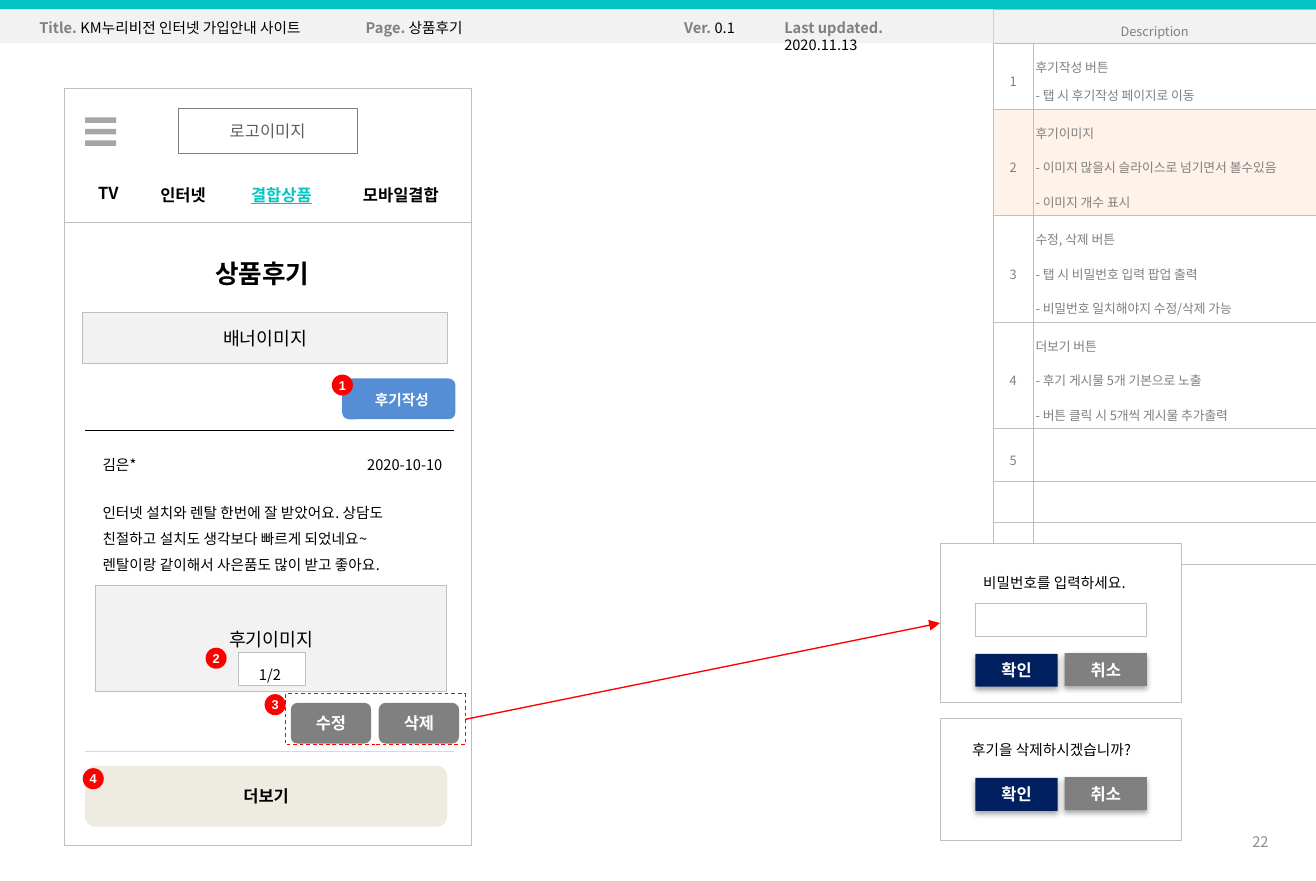
from dataclasses import dataclass

from lxml import etree
from pptx import Presentation
from pptx.dml.color import RGBColor
from pptx.enum.dml import MSO_LINE
from pptx.enum.shapes import MSO_CONNECTOR, MSO_SHAPE
from pptx.enum.text import MSO_ANCHOR, PP_ALIGN
from pptx.oxml.ns import qn
from pptx.util import Pt

RECT, ROUND, OVAL = MSO_SHAPE.RECTANGLE, MSO_SHAPE.ROUNDED_RECTANGLE, MSO_SHAPE.OVAL
STRAIGHT, DASH = MSO_CONNECTOR.STRAIGHT, MSO_LINE.DASH
LEFT, CENTER, RIGHT = PP_ALIGN.LEFT, PP_ALIGN.CENTER, PP_ALIGN.RIGHT
TOP, MIDDLE = MSO_ANCHOR.TOP, MSO_ANCHOR.MIDDLE
LEFT_SIDE, RIGHT_SIDE = 1, 3


@dataclass(frozen=True)
class Theme:
    font: str = "Noto Sans CJK KR"
    logo_font: str = "Karla"
    badge_font: str = "Arial"
    black: str = "000000"
    white: str = "FFFFFF"
    gray: str = "808080"
    logo_gray: str = "5F5F5F"
    page_gray: str = "8C8C8C"
    icon: str = "A6A6A6"
    border: str = "BFBFBF"
    divider: str = "D9D9D9"
    panel: str = "F2F2F2"
    highlight: str = "FFF2E9"
    teal: str = "05C4C4"
    blue: str = "558ED5"
    navy: str = "002060"
    beige: str = "EEECE1"
    red: str = "FF0000"
    tiny: int = 7
    small: int = 8
    label: int = 9
    body: int = 10
    title: int = 14
    hairline: float = 0.5
    rule: float = 0.75


class Wireframe:
    def __init__(self, slide, theme):
        self.slide = slide
        self.theme = theme

    def run(self, paragraph, words, size, color, bold=False, underline=False, font=None):
        run = paragraph.add_run()
        run.text = words
        run.font.size = Pt(size)
        run.font.bold = bold
        run.font.underline = underline
        run.font.color.rgb = RGBColor.from_string(color)
        run.font.name = font or self.theme.font
        etree.SubElement(run.font._element, qn("a:ea"), typeface=font or self.theme.font)

    def text(self, box, lines, size=None, color=None, bold=False, align=LEFT,
             spacing=1.0, wrap=True, underline=False, anchor=TOP):
        frame = self.slide.shapes.add_textbox(*map(Pt, box)).text_frame
        frame.word_wrap = wrap
        frame.vertical_anchor = anchor
        for index, words in enumerate(lines):
            paragraph = frame.add_paragraph() if index else frame.paragraphs[0]
            paragraph.alignment = align
            paragraph.line_spacing = spacing
            self.run(paragraph, words, size or self.theme.small,
                     color or self.theme.black, bold, underline)

    def field(self, left, width, label, value, broken=False):
        frame = self.slide.shapes.add_textbox(Pt(left), Pt(6.8), Pt(width), Pt(17)).text_frame
        frame.word_wrap = True
        paragraph = frame.paragraphs[0]
        self.run(paragraph, label if broken else label + " ",
                 self.theme.small, self.theme.gray, bold=True)
        if broken:
            paragraph.add_line_break()
        self.run(paragraph, value, self.theme.small, self.theme.black)

    def shape(self, kind, box, fill=None, line=None, words=None, size=None,
              color=None, bold=False, font=None, dash=None):
        shape = self.slide.shapes.add_shape(kind, *map(Pt, box))
        shape.shadow.inherit = False
        if fill:
            shape.fill.solid()
            shape.fill.fore_color.rgb = RGBColor.from_string(fill)
        else:
            shape.fill.background()
        if line:
            shape.line.color.rgb = RGBColor.from_string(line)
            shape.line.width = Pt(self.theme.hairline)
            if dash:
                shape.line.dash_style = dash
        else:
            shape.line.fill.background()
        if words:
            frame = shape.text_frame
            frame.margin_left = frame.margin_right = frame.margin_top = frame.margin_bottom = 0
            frame.vertical_anchor = MIDDLE
            frame.paragraphs[0].alignment = CENTER
            self.run(frame.paragraphs[0], words, size, color or self.theme.black, bold, font=font)
        return shape

    def line(self, start, end, color, arrow=False):
        connector = self.slide.shapes.add_connector(STRAIGHT, *map(Pt, start + end))
        connector.line.color.rgb = RGBColor.from_string(color)
        connector.line.width = Pt(self.theme.rule)
        if arrow:
            etree.SubElement(connector.line._get_or_add_ln(), qn("a:tailEnd"), type="triangle")
        etree.SubElement(connector._element.spPr, qn("a:effectLst"))
        return connector

    def badge(self, left, top, number):
        self.shape(OVAL, (left, top, 11.5, 11.5), self.theme.red, words=number,
                   size=self.theme.tiny, color=self.theme.white, bold=True,
                   font=self.theme.badge_font)

    def button(self, kind, box, fill, words, color=None, raised=False):
        shape = self.shape(kind, box, fill, words=words, size=self.theme.label,
                           color=color or self.theme.white, bold=True)
        if raised:
            effects = shape._element.spPr.find(qn("a:effectLst"))
            shadow = etree.SubElement(effects, qn("a:outerShdw"), blurRad=str(Pt(3.1)),
                                      dist=str(Pt(1.8)), dir="5400000", rotWithShape="0")
            tint = etree.SubElement(shadow, qn("a:srgbClr"), val=self.theme.black)
            etree.SubElement(tint, qn("a:alpha"), val="35000")

    def popup(self, top, height, question, question_box, button_top):
        panel = self.shape(RECT, (514.3, top, 132, height), self.theme.white, self.theme.border)
        self.text(question_box, [question], spacing=1.5)
        self.button(RECT, (582.5, button_top - 0.4, 45, 18), self.theme.gray, "취소", raised=True)
        self.button(RECT, (533.7, button_top, 45, 18), self.theme.navy, "확인", raised=True)
        return panel

    def cell(self, cell, lines, fill, align=LEFT, margins=(0, 0), gap=0):
        cell.fill.solid()
        cell.fill.fore_color.rgb = RGBColor.from_string(fill)
        cell.vertical_anchor = MIDDLE
        cell.margin_left = cell.margin_right = Pt(margins[0])
        cell.margin_top = cell.margin_bottom = Pt(margins[1])
        for index, words in enumerate(lines):
            paragraph = cell.text_frame.add_paragraph() if index else cell.text_frame.paragraphs[0]
            paragraph.alignment = align
            paragraph.line_spacing = 1.5
            if index:
                paragraph.space_before = Pt(gap)
            self.run(paragraph, words, self.theme.tiny, self.theme.gray)
        properties = cell._tc.get_or_add_tcPr()
        for index, side in enumerate(("lnL", "lnR", "lnT", "lnB")):
            edge = etree.Element(qn("a:" + side), w=str(Pt(self.theme.hairline)))
            paint = etree.SubElement(edge, qn("a:solidFill"))
            etree.SubElement(paint, qn("a:srgbClr"), val=self.theme.border)
            properties.insert(index, edge)

    def descriptions(self, notes, heights, highlighted):
        table = self.slide.shapes.add_table(
            len(heights), 2, Pt(543.5), Pt(5), Pt(176.5), Pt(sum(heights))).table
        table.first_row = table.horz_banding = False
        table.columns[0].width, table.columns[1].width = Pt(21.7), Pt(154.8)
        for row, height in zip(table.rows, heights):
            row.height = Pt(height)
        table.cell(0, 0).merge(table.cell(0, 1))
        for column, lines in enumerate((["Description"], [])):
            self.cell(table.cell(0, column), lines, self.theme.panel, CENTER)
        for row, (number, lines) in enumerate(notes, 1):
            fill = self.theme.highlight if number == highlighted else self.theme.white
            self.cell(table.cell(row, 0), [number] if number else [], fill, CENTER)
            self.cell(table.cell(row, 1), lines, fill, margins=(1.4, 2.9) if lines else (0, 0),
                      gap=3.7 if len(lines) > 2 else 0)


def main():
    deck = Presentation()
    deck.slide_width = Pt(720)
    deck.slide_height = Pt(481.88)
    theme = Theme()
    page = Wireframe(deck.slides.add_slide(deck.slide_layouts[6]), theme)

    page.text((671.6, 447, 29.5, 26.5), ["22"], color=theme.page_gray, align=RIGHT, anchor=MIDDLE)
    notes = [
        ("1", ["후기작성 버튼", "- 탭 시 후기작성 페이지로 이동"]),
        ("2", ["후기이미지", "- 이미지 많을시 슬라이스로 넘기면서 볼수있음", "- 이미지 개수 표시"]),
        ("3", ["수정, 삭제 버튼", "- 탭 시 비밀번호 입력 팝업 출력", "- 비밀번호 일치해야지 수정/삭제 가능"]),
        ("4", ["더보기 버튼", "- 후기 게시물 5개 기본으로 노출", "- 버튼 클릭 시 5개씩 게시물 추가출력"]),
        ("5", []), ("", []), ("", []),
    ]
    page.descriptions(notes, [18.8, 36, 58.2, 58.2, 58.2, 29, 22.5, 22.7], "2")

    page.shape(RECT, (0, 1.5, 543.5, 22.3), theme.panel)
    page.shape(RECT, (0, 0, 720, 5), theme.teal)
    page.field(14.4, 168, "Title.", "KM누리비전 인터넷 가입안내 사이트")
    page.field(367.2, 50, "Ver.", "0.1")
    page.field(422, 111.6, "Last updated.", "2020.11.13", broken=True)
    page.field(193, 80, "Page.", "상품후기")

    for height in (414, 73.4):
        page.shape(RECT, (35.3, 48.3, 222.8, height), theme.white, theme.border)
    page.shape(RECT, (97.4, 59.4, 98, 24.6), theme.white, theme.gray, "로고이미지",
               theme.label, theme.logo_gray, font=theme.logo_font)
    for bar in range(3):
        page.shape(RECT, (46.6, 64.2 + 6.3 * bar, 17, 3), theme.icon)
    tabs = [("TV", 46.6, 30), ("인터넷", 80.6, 46), ("결합상품", 130.3, 55), ("모바일결합", 191.5, 64)]
    for name, left, width in tabs:
        active = name == "결합상품"
        page.text((left, 96.6 if name == "TV" else 97.4, width, 18), [name], theme.label,
                  theme.teal if active else theme.black, True, underline=active)

    page.text((108, 137.6, 71, 24.5), ["상품후기"], theme.title, bold=True, align=CENTER, wrap=False)
    for top, color in ((235.6, theme.black), (411.2, theme.divider)):
        page.line((46.6, top), (248.4, top), color)
    page.text((49, 241.3, 37, 21.6), ["김은*"], spacing=1.5)
    page.text((193.8, 241.3, 61.2, 20), ["2020-10-10"], spacing=1.5)
    page.shape(RECT, (52.2, 320.4, 192.2, 57.9), theme.panel, theme.border, "후기이미지", theme.body)
    page.text((49, 267.2, 193.7, 51),
              ["인터넷 설치와 렌탈 한번에 잘 받았어요. 상담도 친절하고 설치도 생각보다 빠르게 되었네요~",
               "렌탈이랑 같이해서 사은품도 많이 받고 좋아요."], spacing=1.5)
    page.button(ROUND, (46.6, 418.9, 198, 33.3), theme.beige, "더보기", theme.black)
    page.shape(RECT, (45, 170.9, 200, 28.2), theme.panel, theme.border, "배너이미지", theme.body)
    page.shape(ROUND, (187.2, 207, 62, 22.3), theme.blue)
    page.text((196.5, 210.2, 46.8, 17.3), ["후기작성"], color=theme.white, bold=True,
              align=CENTER, wrap=False)
    for left, words in ((159.1, "수정"), (207.2, "삭제")):
        page.button(ROUND, (left, 384.4, 44, 22.3), theme.gray, words)
    badges = [(181.6, 204.9), (112.5, 354.3), (144.8, 379.7), (45.3, 420.2)]
    for number, (left, top) in enumerate(badges, 1):
        page.badge(left, top, str(number))

    page.popup(393.2, 66.4, "후기을 삭제하시겠습니까?", (524.8, 396.8, 129, 21.6), 425.5)
    password_popup = page.popup(297.4, 86.8, "비밀번호를 입력하세요.", (530.8, 305.5, 103, 21.6), 357.6)
    page.shape(RECT, (533.6, 330.3, 93.6, 18), theme.white, theme.border)
    edit_area = page.shape(RECT, (156.2, 379.5, 98.3, 28), line=theme.red, dash=DASH)
    link = page.line((254.5, 393.5), (514.3, 340.8), theme.red, arrow=True)
    link.begin_connect(edit_area, RIGHT_SIDE)
    link.end_connect(password_popup, LEFT_SIDE)
    page.shape(RECT, (130.4, 357, 36.8, 17.8), theme.white, theme.border)
    page.text((134.6, 355.9, 32.4, 21.6), ["1/2"], spacing=1.5)

    deck.save("out.pptx")


if __name__ == "__main__":
    main()
